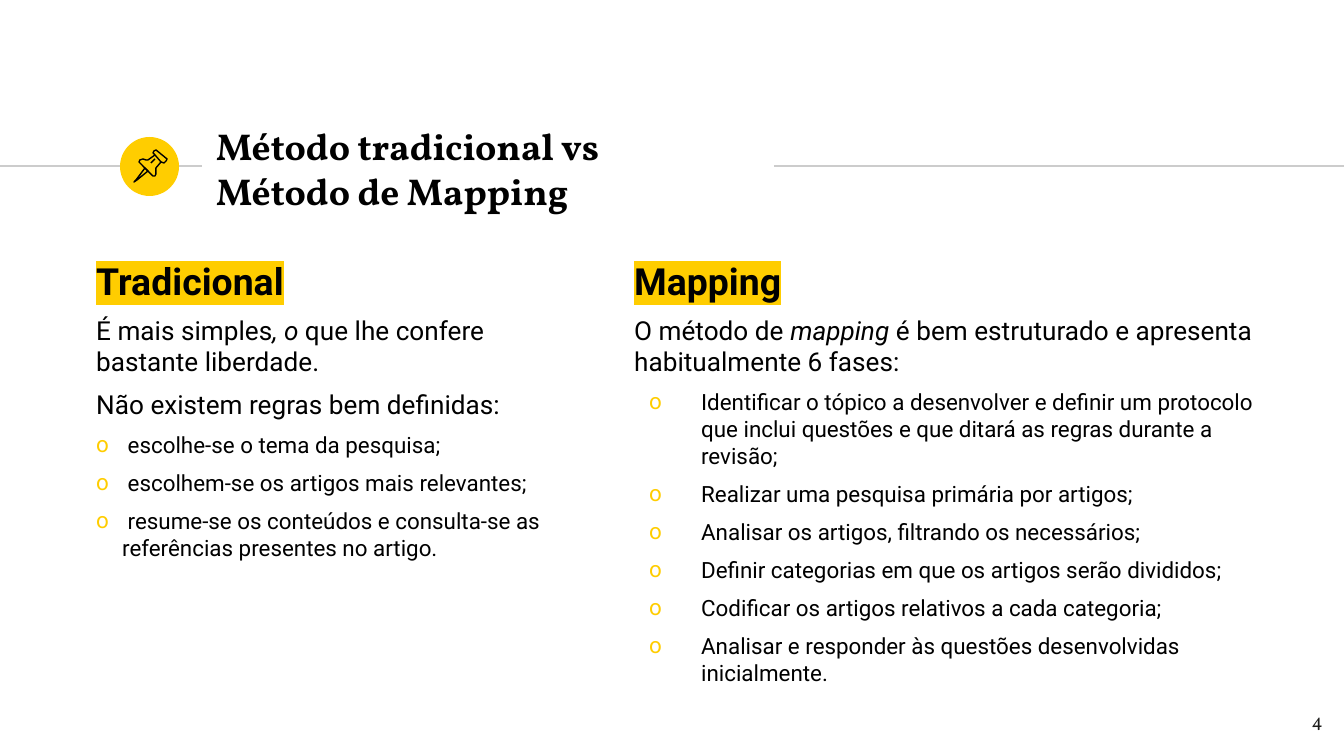
"""Build the slide comparing the traditional method with the mapping method."""
from dataclasses import dataclass
from typing import Optional

from lxml import etree
from pptx import Presentation
from pptx import util as u
from pptx.dml import color
from pptx.enum import shapes, text
from pptx.oxml import ns

PX = 914400 / 134.4


@dataclass(frozen=True)
class Theme:
    yellow: str = "FFCD00"
    rule: str = "CCCCCC"
    ink: str = "000000"
    number_ink: str = "1D1D1B"
    body_font: str = "Roboto"
    title_font: str = "Vollkorn"
    heading: int = 20
    lead: int = 14
    item: int = 12
    number: int = 10
    gap: int = 6
    stroke: float = 0.75


THEME = Theme()


@dataclass(frozen=True)
class Box:
    left: int
    top: int
    width: int
    height: int


@dataclass(frozen=True)
class Column:
    box: Box
    heading: str
    leads: tuple[tuple[str, ...], ...]
    items: tuple[str, ...]
    margin: int
    hanging: int


@dataclass(frozen=True)
class Outline:
    points: tuple[tuple[int, int], ...]
    closed: bool = False


COLUMNS = (
    Column(
        Box(83, 245, 519, 474), "Tradicional",
        (("É mais simples", ", o", " que lhe confere bastante liberdade."),
         ("Não existem regras bem definidas:",)),
        (" escolhe-se o tema da pesquisa;",
         " escolhem-se os artigos mais relevantes;",
         " resume-se os conteúdos e consulta-se as referências presentes no artigo."),
        26, 26),
    Column(
        Box(621, 245, 683, 474), "Mapping",
        (("O método de ", "mapping", " é bem estruturado e apresenta habitualmente 6 fases:"),),
        ("Identificar o tópico a desenvolver e definir um protocolo que inclui questões "
         "e que ditará as regras durante a revisão;",
         "Realizar uma pesquisa primária por artigos;",
         "Analisar os artigos, filtrando os necessários;",
         "Definir categorias em que os artigos serão divididos;",
         "Codificar os artigos relativos a cada categoria;",
         "Analisar e responder às questões desenvolvidas inicialmente."),
        67, 52),
)

PIN = (
    Outline(((145, 168), (136, 180), (134, 182), (137, 180), (148, 171)), True),
    Outline(((155, 155), (161, 162), (164, 163), (166, 161), (167, 159),
             (156, 150), (154, 151), (153, 153), (154, 154)), True),
    Outline(((155, 155), (148, 160), (146, 160), (143, 159), (140, 160), (139, 162),
             (153, 176), (155, 176), (156, 174), (156, 168), (161, 162))),
    Outline(((151, 163), (155, 159))),
)


def px(length: int) -> u.Emu:
    """Turn px into EMU."""
    return u.Emu(round(length * PX))


def rgb(value: str) -> color.RGBColor:
    """Turn a hex string into a colour."""
    return color.RGBColor.from_string(value)


def add_frame(slide, box: Box, anchor=text.MSO_ANCHOR.TOP):
    """Add a wrapping text box and return its text frame."""
    shape = slide.shapes.add_textbox(px(box.left), px(box.top), px(box.width), px(box.height))
    frame = shape.text_frame
    frame.word_wrap = True
    frame.vertical_anchor = anchor
    frame.margin_left = frame.margin_right = u.Inches(0.1)
    frame.margin_top = frame.margin_bottom = u.Inches(0.1)
    return frame


def add_run(paragraph, words: str, *, size: int, font: str = THEME.body_font,
            ink: str = THEME.ink, bold: bool = False, italic: bool = False,
            highlight: Optional[str] = None) -> None:
    """Add formatted text to a paragraph."""
    run = paragraph.add_run()
    run.text = words
    run.font.size = u.Pt(size)
    run.font.bold = bold
    run.font.italic = italic
    run.font.color.rgb = rgb(ink)
    run.font.name = font
    if highlight:
        mark = etree.Element(ns.qn("a:highlight"))
        etree.SubElement(mark, ns.qn("a:srgbClr"), val=highlight)
        run.font.fill
        run._r.rPr.find(ns.qn("a:solidFill")).addnext(mark)


def add_bullet(paragraph, margin: int, hanging: int) -> None:
    """Give a paragraph a hanging yellow bullet."""
    properties = paragraph._p.get_or_add_pPr()
    properties.set("marL", str(px(margin)))
    properties.set("indent", str(-px(hanging)))
    tint = etree.SubElement(properties, ns.qn("a:buClr"))
    etree.SubElement(tint, ns.qn("a:srgbClr"), val=THEME.yellow)
    etree.SubElement(properties, ns.qn("a:buFont"), typeface=THEME.body_font)
    etree.SubElement(properties, ns.qn("a:buChar"), char="o")


def add_column(slide, column: Column) -> None:
    """Draw a heading with its lead sentences and bulleted items."""
    frame = add_frame(slide, column.box)
    add_run(frame.paragraphs[0], column.heading, size=THEME.heading, bold=True,
            highlight=THEME.yellow)
    for lead in column.leads:
        paragraph = frame.add_paragraph()
        for index, words in enumerate(lead):
            add_run(paragraph, words, size=THEME.lead, italic=index == 1)
    for item in column.items:
        paragraph = frame.add_paragraph()
        add_bullet(paragraph, column.margin, column.hanging)
        add_run(paragraph, item, size=THEME.item)
    for paragraph in frame.paragraphs:
        paragraph.space_before = u.Pt(THEME.gap)


def add_rule(slide, start: int, end: int, y: int) -> None:
    """Draw a thin horizontal rule."""
    rule = slide.shapes.add_connector(shapes.MSO_CONNECTOR.STRAIGHT, px(start), px(y), px(end), px(y))
    rule.line.color.rgb = rgb(THEME.rule)
    rule.line.width = u.Pt(THEME.stroke)
    etree.SubElement(rule._element.spPr, ns.qn("a:effectLst"))


def add_badge(slide, box: Box) -> None:
    """Draw the yellow disc."""
    disc = slide.shapes.add_shape(shapes.MSO_SHAPE.OVAL, px(box.left), px(box.top),
                                  px(box.width), px(box.height))
    disc.shadow.inherit = False
    disc.fill.solid()
    disc.fill.fore_color.rgb = rgb(THEME.yellow)
    disc.line.fill.background()


def add_pin(slide, outlines: tuple[Outline, ...]) -> None:
    """Draw the pushpin as a group of outlines."""
    group = slide.shapes.add_group_shape()
    for outline in outlines:
        builder = group.shapes.build_freeform(*outline.points[0], scale=PX)
        builder.add_line_segments(outline.points[1:], close=outline.closed)
        shape = builder.convert_to_shape()
        shape.shadow.inherit = False
        shape.fill.background()
        shape.line.color.rgb = rgb(THEME.ink)
        shape.line.width = u.Pt(THEME.stroke)


def main() -> None:
    """Build and save the presentation."""
    presentation = Presentation()
    presentation.slide_width, presentation.slide_height = px(1344), px(756)
    slide = presentation.slides.add_slide(presentation.slide_layouts[6])
    add_rule(slide, 0, 202, 166)
    add_badge(slide, Box(120, 137, 59, 59))
    add_rule(slide, 774, 1344, 166)
    title = add_frame(slide, Box(203, 136, 570, 65), text.MSO_ANCHOR.MIDDLE).paragraphs[0]
    add_run(title, "Método tradicional vs", size=THEME.heading, font=THEME.title_font, bold=True)
    title.add_line_break()
    add_run(title, "Método de Mapping", size=THEME.heading, font=THEME.title_font, bold=True)
    for column in COLUMNS:
        add_column(slide, column)
    add_pin(slide, PIN)
    number = add_frame(slide, Box(1255, 698, 81, 58)).paragraphs[0]
    number.alignment = text.PP_ALIGN.RIGHT
    add_run(number, "4", size=THEME.number, font=THEME.title_font, ink=THEME.number_ink)
    presentation.save("out.pptx")


if __name__ == "__main__":
    main()
